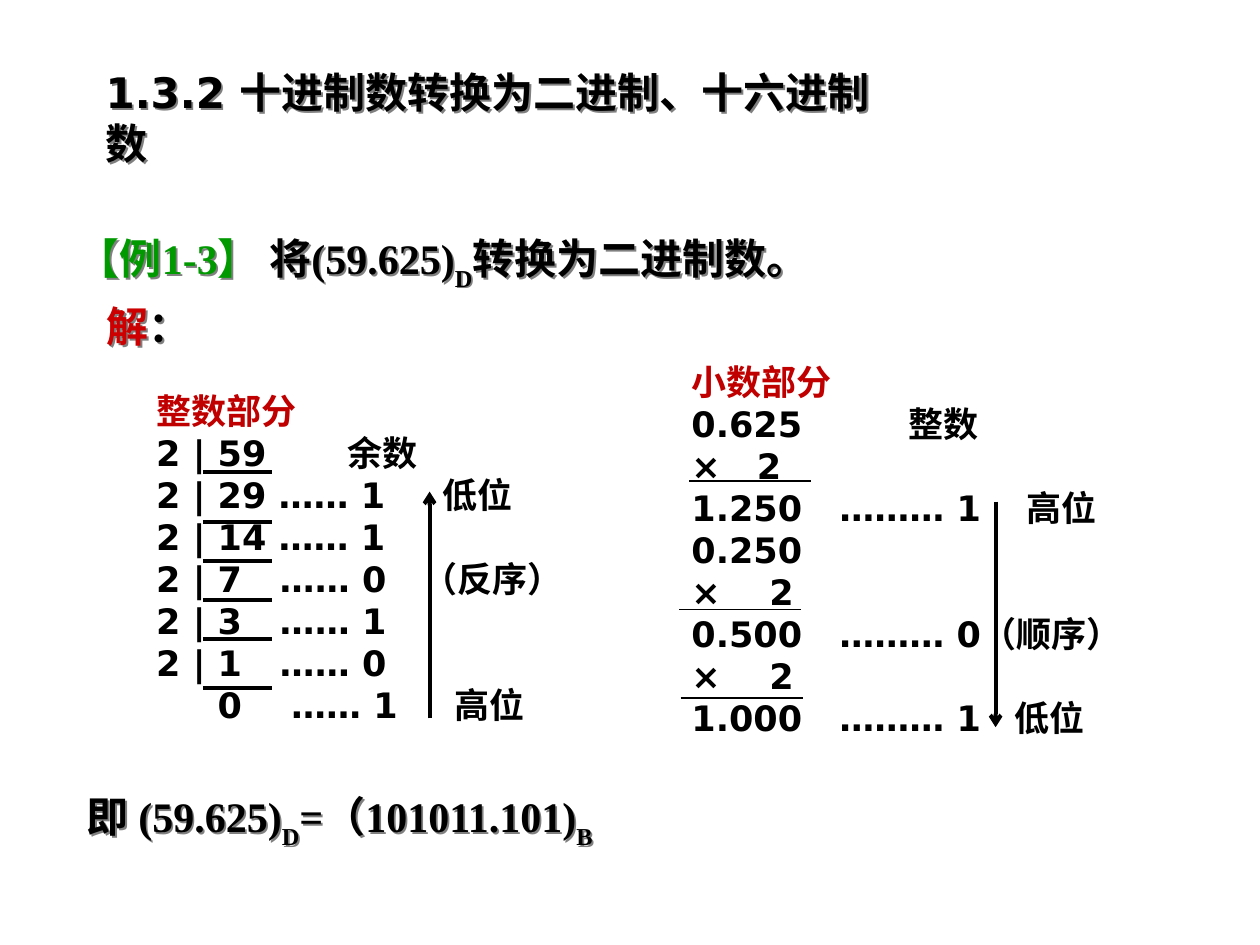
from lxml.etree import SubElement
from pptx import Presentation
from pptx.dml.color import RGBColor
from pptx.enum.shapes import MSO_CONNECTOR
from pptx.enum.text import MSO_ANCHOR
from pptx.oxml.ns import qn
from pptx.util import Cm, Pt

BLACK = RGBColor(0x00, 0x00, 0x00)
GREEN = RGBColor(0x00, 0x99, 0x00)
RED = RGBColor(0xCC, 0x00, 0x00)
DARK_RED = RGBColor(0xC0, 0x00, 0x00)
SHADOW = RGBColor(0x80, 0x80, 0x80)
SANS, SERIF, CJK = "DejaVu Sans", "Times New Roman", "Noto Sans CJK SC"


class Board:
    """Holds the slide and the text style used on it."""

    heading_size = Pt(24)
    working_size = Pt(20)

    def __init__(self, slide):
        self.shapes = slide.shapes

    def _box(self, x, y, w, h):
        sp = self.shapes.add_textbox(Cm(x), Cm(y), Cm(w), Cm(h))
        sp.text_frame.word_wrap = True
        return sp

    def _format(self, r, size, font, color):
        r.font.size, r.font.bold, r.font.name = size, True, font
        r.font.color.rgb = color
        SubElement(r.font._element, qn("a:ea"), typeface=CJK)

    def heading(self, x, y, w, h, runs):
        """Shadowed line; runs are (text, font, colour, is_subscript)."""
        sp = self._box(x, y, w, h)
        effects = SubElement(sp._element.spPr, qn("a:effectLst"))
        shadow = SubElement(effects, qn("a:outerShdw"), dist="17961", dir="2700000")
        SubElement(shadow, qn("a:srgbClr"), val=str(SHADOW))
        tf = sp.text_frame
        tf.vertical_anchor = MSO_ANCHOR.MIDDLE
        for text, font, color, subscript in runs:
            r = tf.paragraphs[0].add_run()
            r.text = text
            self._format(r, self.heading_size, font, color)
            if subscript:
                r.font._element.set("baseline", "-30000")

    def working(self, x, y, w, h, rows):
        """Column of steps; rows are (text, tab stops in cm), the first is the title."""
        tf = self._box(x, y, w, h).text_frame
        for i, (text, stops) in enumerate(rows):
            p = tf.add_paragraph() if i else tf.paragraphs[0]
            if stops:
                tabs = SubElement(p._p.get_or_add_pPr(), qn("a:tabLst"))
                for stop in stops:
                    SubElement(tabs, qn("a:tab"), pos=str(Cm(stop)), algn="l")
            p.text = text
            for r in p.runs:
                self._format(r, self.working_size, SANS, BLACK if i else DARK_RED)

    def line(self, x1, y1, x2, y2, width=2.25, arrow=False):
        c = self.shapes.add_connector(
            MSO_CONNECTOR.STRAIGHT, Cm(x1), Cm(y1), Cm(x2), Cm(y2))
        c.line.color.rgb = BLACK
        c.line.width = Pt(width)
        if arrow:
            SubElement(c.line._get_or_add_ln(), qn("a:tailEnd"), type="arrow")
        SubElement(c._element.spPr, qn("a:effectLst"))


def main():
    prs = Presentation()
    prs.slide_width, prs.slide_height = Cm(25.4), Cm(19.05)
    s = Board(prs.slides.add_slide(prs.slide_layouts[6]))

    s.heading(1.88, 1.73, 16.41, 1.27, [
        ("1.3.2 ", SANS, BLACK, False),
        ("十进制数转换为二进制、十六进制数", SERIF, BLACK, False)])
    s.heading(1.32, 4.65, 18, 1.27, [
        ("【", CJK, GREEN, False),
        ("例1-3", SERIF, GREEN, False),
        ("】 ", CJK, GREEN, False),
        ("将(59.625)", SERIF, BLACK, False),
        ("D", SERIF, BLACK, True),
        ("转换为二进制数。", SERIF, BLACK, False)])
    s.heading(1.9, 5.94, 2.6, 1.27, [
        ("解", SERIF, RED, False), ("：", SERIF, BLACK, False)])

    s.working(2.9, 7.72, 9.93, 7.04, [
        ("整数部分", []),
        ("2 | 59\t余数", [3.86]),
        ("2 | 29 …… 1\t低位", [5.77]),
        ("2 | 14 …… 1", []),
        ("2 | 7\t…… 0\t（反序）", [2.49, 5.36]),
        ("2 | 3\t…… 1", [2.49]),
        ("2 | 1\t…… 0", [2.49]),
        ("\t0\t…… 1\t高位", [1.24, 2.72, 6.02])])
    for y in (9.51, 10.52, 11.3, 12.09, 12.88, 13.87):
        s.line(4.09, y, 5.49, y)
    s.line(8.66, 14.48, 8.66, 9.91, arrow=True)

    s.working(13.69, 7.14, 9.53, 8.53, [
        ("小数部分", []),
        ("0.625\t整数", [4.37]),
        ("×\t2", [1.32]),
        ("1.250\t……… 1\t高位", [2.98, 6.75]),
        ("0.250", []),
        ("×\t2", [1.57]),
        ("0.500\t……… 0（顺序）", [2.98]),
        ("×\t2", [1.57]),
        ("1.000\t……… 1\t低位", [2.98, 6.51])])
    for x, y in ((13.89, 9.7), (13.69, 12.29), (13.72, 14.07)):
        s.line(x, y, x + 2.46, y, width=0.75)
    s.line(20.07, 10.11, 20.07, 14.66, arrow=True)

    s.heading(1.5, 15.82, 12, 1.45, [
        ("即 (59.625)", SERIF, BLACK, False),
        ("D", SERIF, BLACK, True),
        ("=（101011.101)", SERIF, BLACK, False),
        ("B", SERIF, BLACK, True)])

    prs.save("out.pptx")


if __name__ == "__main__":
    main()
